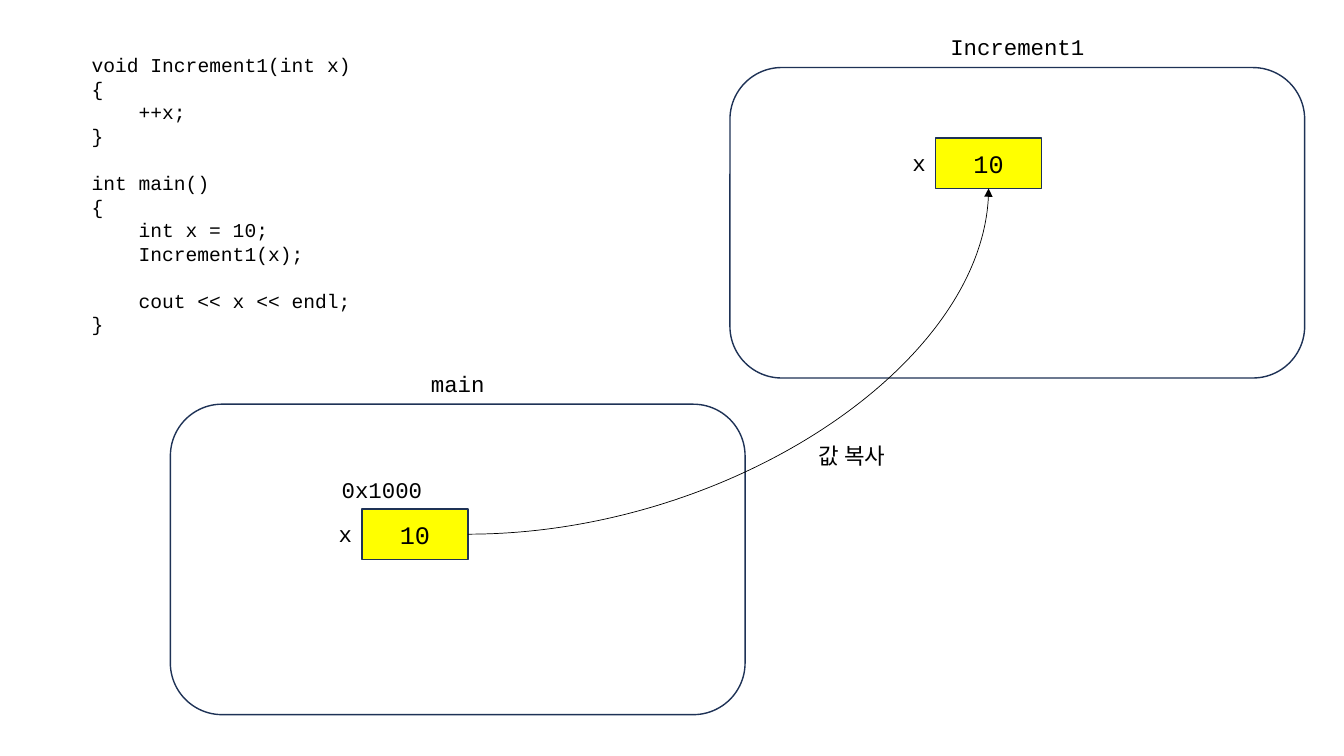
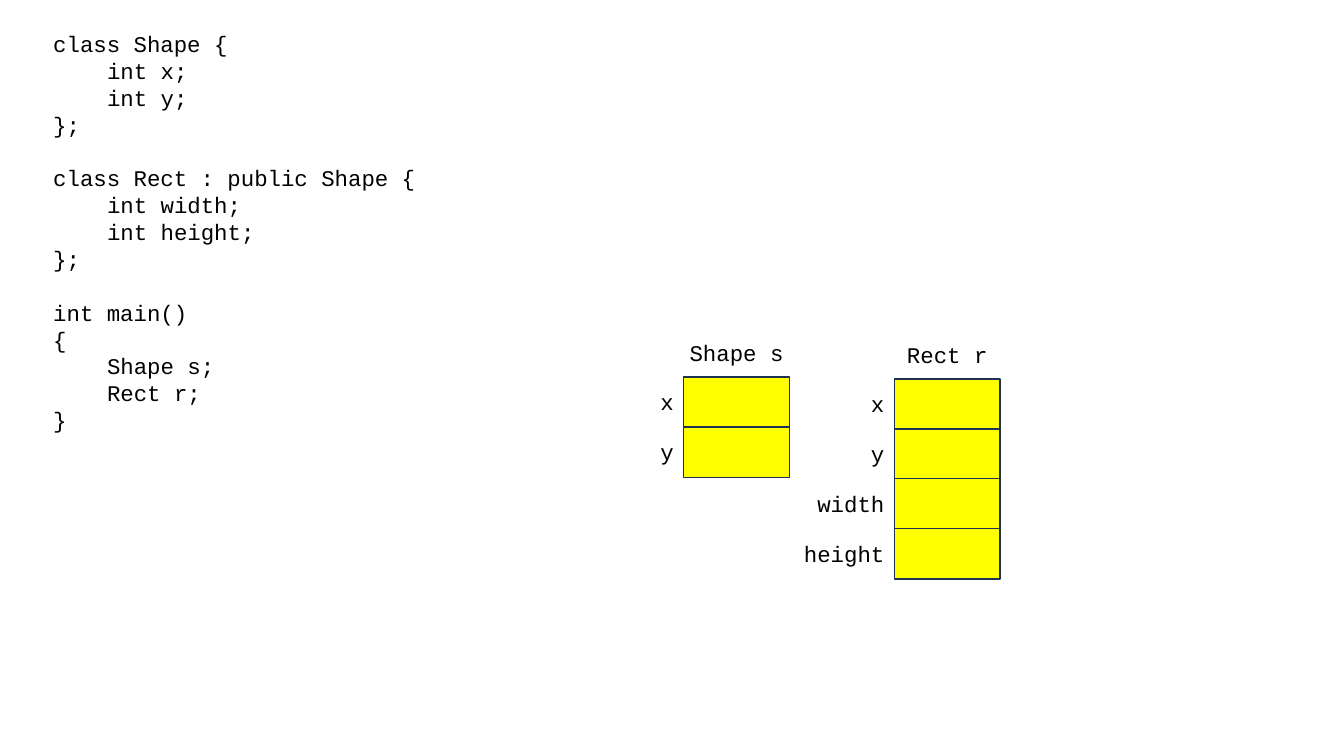
from pptx import Presentation
from pptx.dml.color import RGBColor
from pptx.enum.shapes import MSO_CONNECTOR as CONN, MSO_SHAPE as SHAPE
from pptx.enum.text import MSO_ANCHOR as ANCHOR, MSO_AUTO_SIZE as FIT, PP_ALIGN as ALIGN
from pptx.oxml.ns import qn
from pptx.util import Inches, Pt
from lxml import etree

FONT = "Courier New"
BLACK, WHITE, YELLOW, NAVY = "000000", "FFFFFF", "FFFF00", "1E3256"
FRAME_W, FRAME_H = 5.7, 3.08
CELL_W, CELL_H, CELL_STEP = 1.05, 0.5, 0.99 / 2
LABEL_W, LABEL_H = 1.04, 0.37
CHAR_RATIO, LINE_RATIO = 0.6, 1.2

INCREMENT_CODE = """void Increment1(int x)
{
    ++x;
}

int main()
{
    int x = 10;
    Increment1(x);

    cout << x << endl;
}"""

CLASS_CODE = """class Shape {
    int x;
    int y;
};

class Rect : public Shape {
    int width;
    int height;
};

int main()
{
    Shape s;
    Rect r;
}"""


def color(value):
    return RGBColor.from_string(value)


def write(p, text, size=16, align=ALIGN.LEFT):
    p.alignment = align
    r = p.add_run()
    r.text = text
    r.font.name, r.font.size = FONT, Pt(size)
    r.font.color.rgb = color(BLACK)


def add_text_frame(slide, x, y, w, h):
    sp = slide.shapes.add_textbox(Inches(x), Inches(y), Inches(w), Inches(h))
    tf = sp.text_frame
    tf.word_wrap = True
    tf.auto_size = FIT.SHAPE_TO_FIT_TEXT
    return tf


def add_label(slide, text, x, y, w, **fmt):
    write(add_text_frame(slide, x, y, w, LABEL_H).paragraphs[0], text, **fmt)


def add_code(slide, code, x, y, w, h, size):
    tf = add_text_frame(slide, x, y, w, h)
    p, gap = tf.paragraphs[0], 0
    for i, line in enumerate(code.split("\n")):
        text = line.lstrip()
        if not text:
            gap = size * LINE_RATIO
            continue
        if i:
            p = tf.add_paragraph()
        write(p, text, size=size)
        p.line_spacing, p.space_before = Pt(size * LINE_RATIO), Pt(gap)
        indent = (len(line) - len(text)) * size * CHAR_RATIO
        p._p.get_or_add_pPr().set("marL", str(Pt(indent)))
        gap = 0


def add_box(slide, kind, x, y, w, h, fill):
    sp = slide.shapes.add_shape(kind, Inches(x), Inches(y), Inches(w), Inches(h))
    sp.shadow.inherit = False
    sp.fill.solid()
    sp.fill.fore_color.rgb = color(fill)
    sp.line.color.rgb = color(NAVY)
    sp.line.width = Pt(1)
    return sp


def add_cell(slide, name, x, y, value=None):
    sp = add_box(slide, SHAPE.RECTANGLE, x, y, CELL_W, CELL_H, YELLOW)
    if value:
        tf = sp.text_frame
        tf.vertical_anchor = ANCHOR.MIDDLE
        write(tf.paragraphs[0], value, size=18, align=ALIGN.CENTER)
    add_label(slide, name, x - LABEL_W, y + 0.06, LABEL_W, align=ALIGN.RIGHT)
    return sp


def add_call_frame(slide, title, x, y, cell_dx, cell_dy, address=None):
    add_box(slide, SHAPE.ROUNDED_RECTANGLE, x, y, FRAME_W, FRAME_H, WHITE)
    add_label(slide, title, x, y - 0.39, FRAME_W, align=ALIGN.CENTER)
    cell_x, cell_y = x + cell_dx, y + cell_dy
    if address:
        add_label(slide, address, cell_x - 0.3, cell_y - 0.38, 1.12)
    return add_cell(slide, "x", cell_x, cell_y, value="10")


def add_object(slide, title, fields, x, y):
    title_w = 1.77
    add_label(slide, title, x + (CELL_W - title_w) / 2, y - 0.42, title_w, align=ALIGN.CENTER)
    for i, field in enumerate(fields):
        add_cell(slide, field, x, y + i * CELL_STEP)


def add_copy_arrow(slide, source, target):
    cxn = slide.shapes.add_connector(CONN.CURVE, 0, 0, 0, 0)
    cxn.begin_connect(source, 3)
    cxn.end_connect(target, 2)
    cxn.line.color.rgb = color(BLACK)
    cxn.line.width = Pt(0.5)
    sp_pr = cxn._element.spPr
    sp_pr.find(qn("a:prstGeom")).set("prst", "curvedConnector2")
    etree.SubElement(sp_pr.find(qn("a:ln")), qn("a:tailEnd"), type="triangle")
    etree.SubElement(sp_pr, qn("a:effectLst"))


def build_call_slide(prs):
    slide = prs.slides.add_slide(prs.slide_layouts[6])
    add_code(slide, INCREMENT_CODE, 0.81, 0.48, 6.67, 2.93, 14)
    source = add_call_frame(slide, "main", 1.69, 4.01, 1.9, 1.04, address="0x1000")
    target = add_call_frame(slide, "Increment1", 7.24, 0.67, 2.04, 0.7)
    add_copy_arrow(slide, source, target)
    add_label(slide, "값 복사", 7.89, 4.34, 1.12, align=ALIGN.CENTER)


def build_class_slide(prs):
    slide = prs.slides.add_slide(prs.slide_layouts[6])
    add_code(slide, CLASS_CODE, 0.43, 0.25, 6.67, 4.14, 16)
    add_object(slide, "Shape s", ["x", "y"], 6.78, 3.74)
    add_object(slide, "Rect r", ["x", "y", "width", "height"], 8.87, 3.76)


prs = Presentation()
prs.slide_width, prs.slide_height = Inches(13.33), Inches(7.5)
build_call_slide(prs)
build_class_slide(prs)
prs.save("out.pptx")
